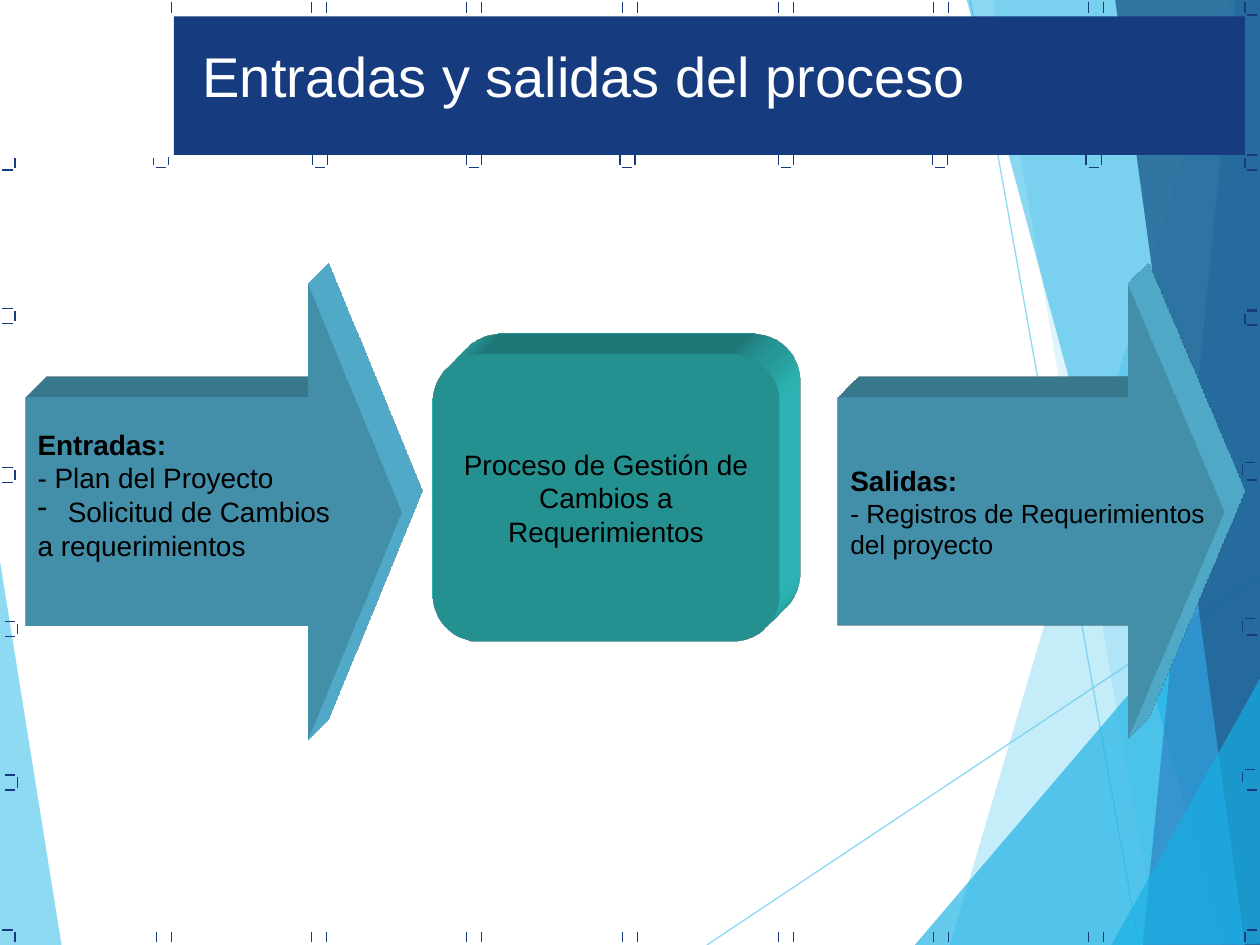
from lxml import etree
from pptx import Presentation
from pptx import util as u
from pptx.dml.color import RGBColor
from pptx.enum import shapes, text
from pptx.oxml import parse_xml
from pptx.oxml.ns import nsdecls, qn

PX = 9144
NAVY, SKY, CYAN = "163B7F", "5FCBEF", "17B0E4"
TICK = 8


def rgb(value):
    return RGBColor.from_string(value)


def add_run(p, content, size=16, color="000000", bold=False, font="Arial"):
    r = p.add_run()
    r.text = content
    r.font.name, r.font.size, r.font.bold = font, u.Pt(size), bold
    r.font.color.rgb = rgb(color)
    return r


class Deck:
    """Draws styled elements on one slide, with lengths in hundredths of an inch."""

    def __init__(self, width, height):
        self.prs = Presentation()
        self.prs.slide_width, self.prs.slide_height = width * PX, height * PX
        self.s = self.prs.slides.add_slide(self.prs.slide_layouts[6])

    def alpha(self, fill, percent):
        color = fill.find(".//" + qn("a:srgbClr"))
        etree.SubElement(color, qn("a:alpha")).set("val", str(percent * 1000))

    def style(self, sp, fill, line=None):
        sp.shadow.inherit = False
        sp.fill.solid()
        sp.fill.fore_color.rgb = rgb(fill)
        if line:
            sp.line.color.rgb, sp.line.width = rgb(line), u.Pt(1.5)
        else:
            sp.line.fill.background()
        return sp

    def facet(self, fill, percent, *points):
        start, *rest = [(x * PX, y * PX) for x, y in points]
        fb = self.s.shapes.build_freeform(*start)
        fb.add_line_segments(rest, close=True)
        sp = self.style(fb.convert_to_shape(), fill)
        self.alpha(sp.element.spPr.find(qn("a:solidFill")), percent)

    def line(self, x1, y1, x2, y2, color=NAVY, percent=100):
        c = self.s.shapes.add_connector(
            shapes.MSO_CONNECTOR.STRAIGHT, *(v * PX for v in (x1, y1, x2, y2)))
        c.line.color.rgb, c.line.width = rgb(color), u.Pt(0.75)
        if percent < 100:
            self.alpha(c.line._ln, percent)
        etree.SubElement(c._element.spPr, qn("a:effectLst"))

    def upright(self, y, *xs):
        for x in xs:
            self.line(x, y + TICK, x, y)

    def level(self, x, *ys):
        for y in ys:
            self.line(x, y, x + TICK, y)

    def shape(self, kind, x, y, w, h, fill, line=None, adj=()):
        sp = self.s.shapes.add_shape(kind, x * PX, y * PX, w * PX, h * PX)
        for i, value in enumerate(adj):
            sp.adjustments[i] = value
        return self.style(sp, fill, line)

    def block(self, kind, x, y, w, h, fill, adj):
        sp = self.shape(kind, x, y, w, h, fill, adj=adj)
        ns = nsdecls("a")
        sp.element.spPr.append(parse_xml(
            f'<a:scene3d {ns}><a:camera prst="legacyObliqueTopRight"/>'
            '<a:lightRig rig="legacyFlat3" dir="b"/></a:scene3d>'))
        sp.element.spPr.append(parse_xml(
            f'<a:sp3d {ns} extrusionH="430200" prstMaterial="legacyMatte">'
            '<a:bevelT w="13500" h="13500" prst="angle"/>'
            '<a:bevelB w="13500" h="13500" prst="angle"/>'
            f'<a:extrusionClr><a:srgbClr val="{fill}"/></a:extrusionClr></a:sp3d>'))
        tf = sp.text_frame
        tf.vertical_anchor = text.MSO_ANCHOR.MIDDLE
        return tf

    def arrow(self, x, width, heading, first, rest, size):
        tf = self.block(shapes.MSO_SHAPE.RIGHT_ARROW, x, 225, width, 362, SKY, (0.5, 0.25))
        tf.word_wrap = False
        p = tf.paragraphs[0]
        add_run(p, heading, bold=True)
        p.add_line_break()
        add_run(p, first, size)
        for content, bullet in rest:
            p = tf.add_paragraph()
            add_run(p, content, size)
            if bullet:
                self.bullet(p, bullet)
        for p in tf.paragraphs:
            p.alignment = text.PP_ALIGN.LEFT
        return tf

    def bullet(self, p, mark, indent=24):
        pPr = p._p.get_or_add_pPr()
        pPr.set("marL", str(indent * PX))
        pPr.set("indent", str(-indent * PX))
        etree.SubElement(pPr, qn("a:buChar")).set("char", mark)

    def title(self, content, x, y, w, h):
        tf = self.s.shapes.add_textbox(x * PX, y * PX, w * PX, h * PX).text_frame
        tf.word_wrap = True
        add_run(tf.paragraphs[0], content, 32, "FFFFFF")


def draw_facets(d):
    d.facet(SKY, 70, (-1, 439), (49, 751), (-1, 750))
    d.line(561, 750, 1001, 457, SKY, 70)
    d.line(770, 0, 904, 750, SKY, 70)
    d.facet(SKY, 36, (975, 0), (754, 750), (1002, 751), (1001, 1))
    d.facet(SKY, 20, (788, -1), (919, 750), (1001, 750), (1001, -1))
    d.facet(CYAN, 66, (726, 750), (1000, 429), (1001, 750))
    d.facet(CYAN, 50, (767, -1), (970, 750), (1001, 749), (1001, -1))
    d.facet("2E83C3", 70, (981, -1), (907, 750), (1001, 750), (1000, -1))
    d.facet("226292", 82, (885, -1), (988, 750), (1002, 750), (1000, -1))
    d.facet(CYAN, 66, (882, 750), (1002, 535), (1002, 749))


def draw_ticks(d):
    for x in (136, 259, 382, 506, 630, 753, 876):
        d.upright(740, x, x - 12)
        d.upright(2, *((x,) if x == 136 else (x, x - 12)))
    for x in (134, 260, 382, 504, 630, 752, 874):
        d.upright(123, x, x - 12)
        d.level(x - 10, 133)
    for x, y in ((12, 125), (12, 247), (12, 373), (14, 495), (14, 617)):
        d.upright(y, x)
        d.level(x - 10, y - 2, y + 10)
    for x, y in ((988, 125), (988, 249), (986, 369), (986, 493), (986, 613)):
        d.upright(y, x)
        d.level(x + 2, y - 2)
    d.level(990, 12, 135, 246, 258, 381, 504, 627, 738)
    d.upright(2, 988)
    d.upright(740, 12, 988)
    d.level(2, 738)


def main():
    d = Deck(1000, 750)
    draw_facets(d)
    draw_ticks(d)
    d.shape(shapes.MSO_SHAPE.RECTANGLE, 138, 13, 850, 110, NAVY)
    d.shape(shapes.MSO_SHAPE.RECTANGLE, 0, -1, 133, 125, "FFFFFF", "FFFFFF")
    d.title("Entradas y salidas del proceso", 151, 28, 680, 63)
    tf = d.arrow(20, 299, "Entradas:", "- Plan del Proyecto",
                 [("Solicitud de Cambios", "-"), ("a requerimientos", None)], 16)
    tf.margin_bottom = 32 * PX
    tf = d.block(shapes.MSO_SHAPE.ROUNDED_RECTANGLE, 343, 281, 276, 228, "33CCCC", (0.167,))
    tf.word_wrap = True
    p = tf.paragraphs[0]
    p.alignment = text.PP_ALIGN.CENTER
    add_run(p, "Proceso de Gestión de Cambios a Requerimientos")
    d.arrow(665, 307, "Salidas:", "- Registros de Requerimientos",
            [("del proyecto", None)], 15)
    d.prs.save("out.pptx")


if __name__ == "__main__":
    main()
